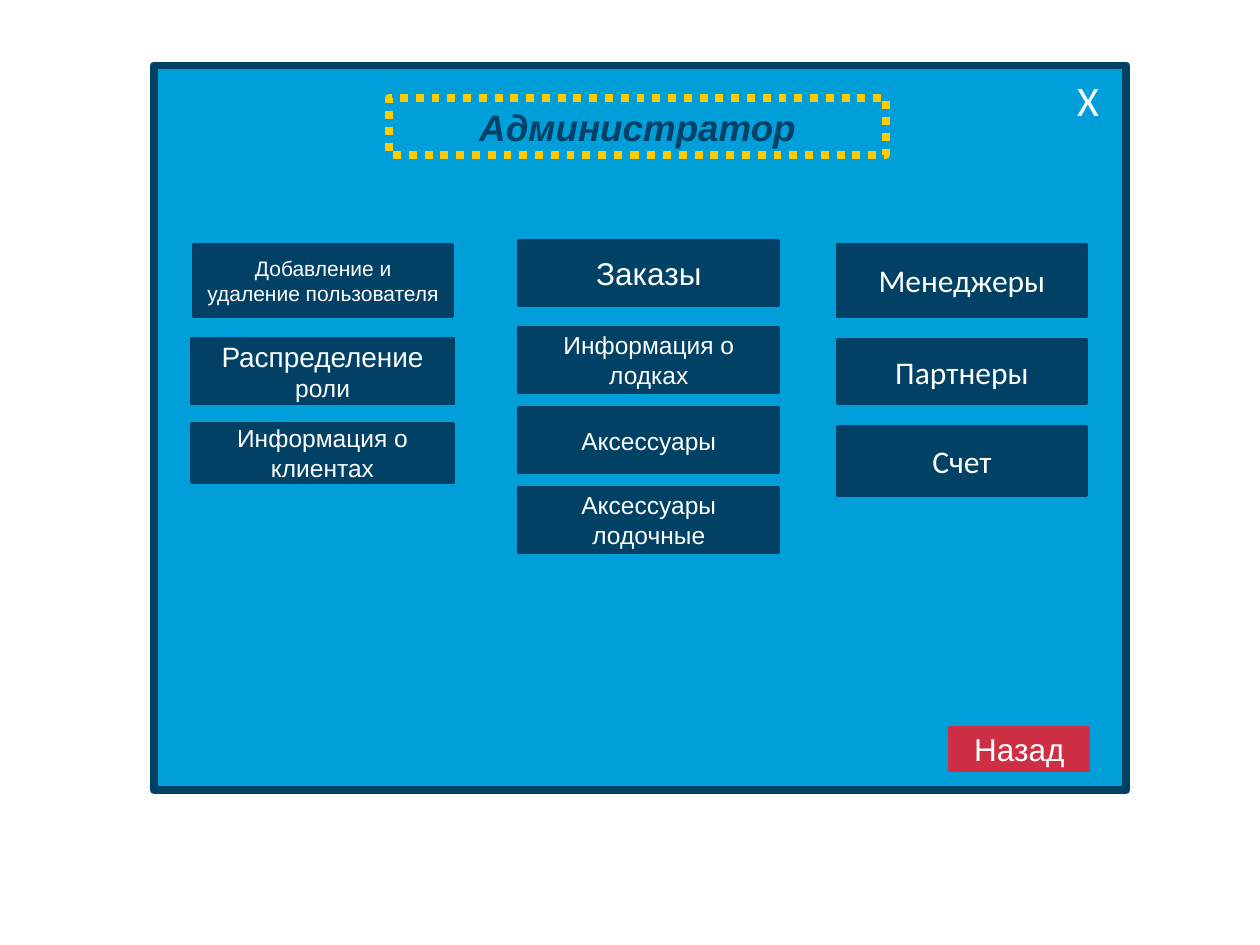
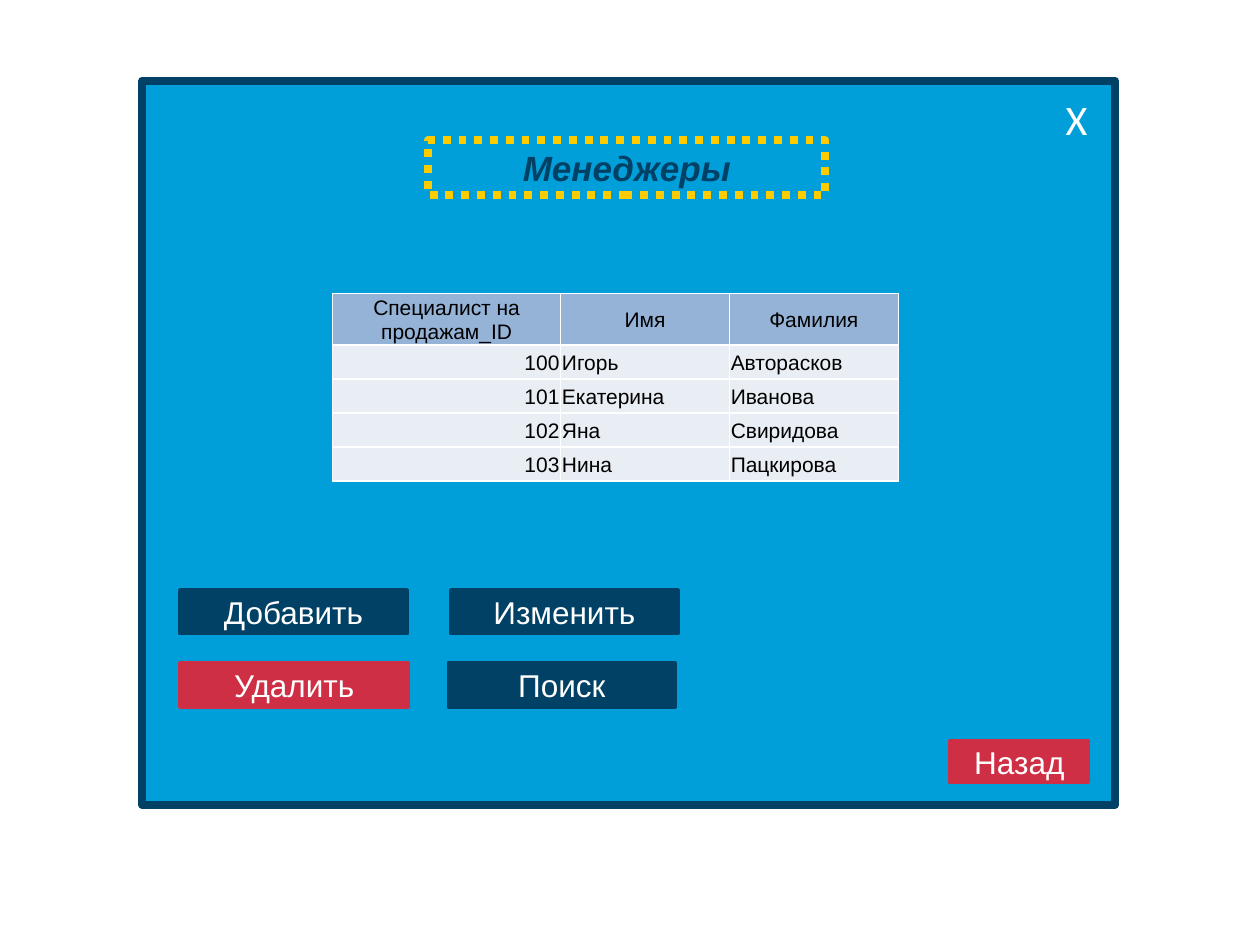
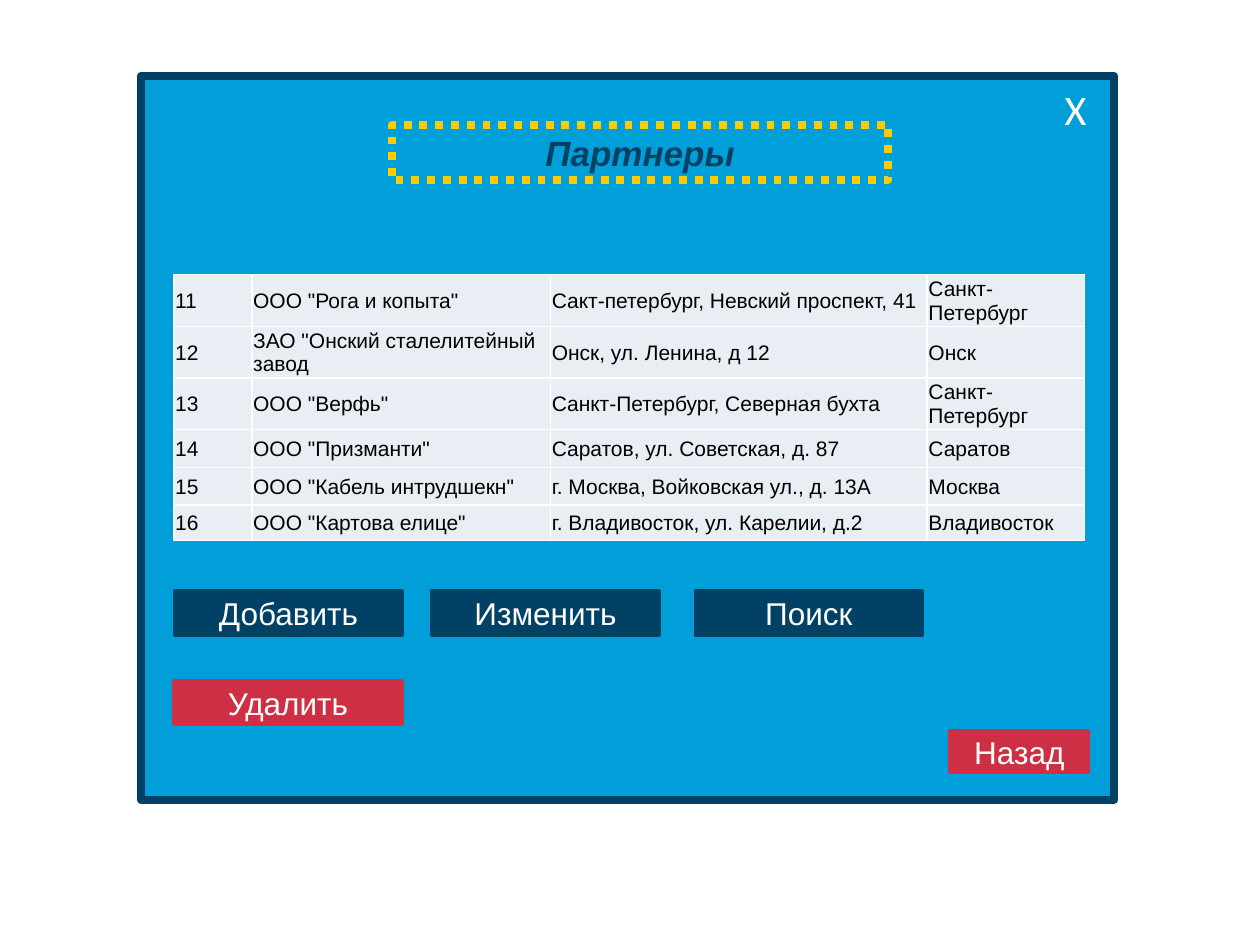
from lxml.etree import SubElement
from pptx import Presentation
from pptx.dml.color import RGBColor
from pptx.enum.dml import MSO_LINE
from pptx.enum.shapes import MSO_SHAPE as Preset
from pptx.enum.text import MSO_ANCHOR as Anchor, MSO_AUTO_SIZE as AutoSize, PP_ALIGN as Align
from pptx.oxml.ns import qn
from pptx.util import Inches, Pt

SKY, NAVY, RED, YELLOW = "009FDA", "004165", "CF2F44", "FECB00"
WHITE, BLACK, HEADER, BODY = "FFFFFF", "000000", "95B3D7", "E9EDF4"
SANS, SCREEN = "Arial", "Calibri"
FRAME_WIDTH, FRAME_HEIGHT = 7.72, 5.75
BUTTON_WIDTH, BUTTON_HEIGHT = 1.8, 0.35

MENU = [
    (1.54, 1.94, 2.05, 0.57, "Добавление и удаление пользователя", 12, SANS),
    (1.52, 3.36, 2.08, 0.47, "Информация о клиентах", 14, SANS),
    (4.12, 1.91, 2.06, 0.51, "Заказы", 18, SANS),
    (4.12, 2.6, 2.06, 0.51, "Информация о лодках", 14, SANS),
    (4.12, 3.24, 2.06, 0.51, "Аксессуары", 14, SANS),
    (4.12, 3.87, 2.06, 0.51, "Аксессуары лодочные", 14, SANS),
    (6.65, 1.94, 1.97, 0.57, "Менеджеры", 18, SCREEN),
    (6.65, 2.7, 1.97, 0.5, "Партнеры", 18, SCREEN),
    (6.65, 3.39, 1.97, 0.54, "Счет", 18, SCREEN),
]
MANAGERS = [
    ("Специалист на продажам_ID", "Имя", "Фамилия"),
    ("100", "Игорь", "Авторасков"),
    ("101", "Екатерина", "Иванова"),
    ("102", "Яна", "Свиридова"),
    ("103", "Нина", "Пацкирова"),
]
PARTNERS = [
    ("11", 'ООО "Рога и копыта"', "Сакт-петербург, Невский проспект, 41", "Санкт-Петербург"),
    ("12", 'ЗАО "Онский сталелитейный завод', "Онск, ул. Ленина, д 12", "Онск"),
    ("13", 'ООО "Верфь"', "Санкт-Петербург, Северная бухта", "Санкт-Петербург"),
    ("14", 'ООО "Призманти"', "Саратов, ул. Советская, д. 87", "Саратов"),
    ("15", 'ООО "Кабель интрудшекн"', "г. Москва, Войковская ул., д. 13А", "Москва"),
    ("16", 'ООО "Картова елице"', "г. Владивосток, ул. Карелии, д.2", "Владивосток"),
]


def color(value):
    """Turn a hex string into a colour."""
    return RGBColor.from_string(value)


def add_run(paragraph, text, size, font=SANS, ink=WHITE):
    """Append a formatted run and return it."""
    run = paragraph.add_run()
    run.text = text
    run.font.size = Pt(size)
    run.font.name = font
    run.font.color.rgb = color(ink)
    return run


def set_line(shape, ink, width):
    """Give a shape a solid outline."""
    shape.line.color.rgb = color(ink)
    shape.line.width = Pt(width)


def add_box(slide, box, fill, line, width=2, preset=Preset.RECTANGLE):
    """Add a filled shape without shadow."""
    shape = slide.shapes.add_shape(preset, *map(Inches, box))
    shape.shadow.inherit = False
    shape.fill.solid()
    shape.fill.fore_color.rgb = color(fill)
    set_line(shape, line, width)
    return shape


def add_button(slide, box, runs, fill=NAVY, preset=Preset.RECTANGLE):
    """Add a button whose label is a list of (text, size, font)."""
    frame = add_box(slide, box, fill, fill, preset=preset).text_frame
    frame.word_wrap = True
    frame.vertical_anchor = Anchor.MIDDLE
    paragraph = frame.paragraphs[0]
    paragraph.alignment = Align.CENTER
    for text, size, font in runs:
        add_run(paragraph, text, size, font)


def add_action(slide, left, top, label, fill=NAVY, width=BUTTON_WIDTH):
    """Add a command button of the standard height."""
    add_button(slide, (left, top, width, BUTTON_HEIGHT), [(label, 18, SANS)], fill)


def format_title(slide, box, text, size):
    """Place the title in front of the window with a dotted outline."""
    title = slide.shapes.title
    title.element.getparent().append(title.element)
    title.left, title.top, title.width, title.height = map(Inches, box)
    set_line(title, YELLOW, 4.5)
    title.line.dash_style = MSO_LINE.ROUND_DOT
    frame = title.text_frame
    frame.word_wrap = True
    frame.auto_size = AutoSize.NONE
    frame.vertical_anchor = Anchor.TOP
    paragraph = frame.paragraphs[0]
    paragraph.alignment = Align.CENTER
    run = add_run(paragraph, text, size, ink=NAVY)
    run.font.bold = run.font.italic = True


def add_window(presentation, origin, title_box, title, size, close_top, back_top):
    """Add a slide with the window, title, close and back buttons."""
    slide = presentation.slides.add_slide(presentation.slide_layouts[5])
    left, top = origin
    add_box(slide, (left, top, FRAME_WIDTH, FRAME_HEIGHT), SKY, NAVY, 4.5)
    format_title(slide, title_box, title, size)
    add_button(slide, (left + 7.18, close_top, 0.47, 0.42), [("Х", 24, SCREEN)],
               SKY, Preset.ACTION_BUTTON_CUSTOM)
    add_button(slide, (7.54, back_top, 1.1, 0.33), [("Назад", 18, SANS)], RED)
    return slide


def set_borders(cell):
    """Draw thin white borders around a cell."""
    properties = cell._tc.get_or_add_tcPr()
    for side in ("lnL", "lnR", "lnT", "lnB"):
        line = SubElement(properties, qn(f"a:{side}"), w=str(Pt(1)))
        fill = SubElement(line, qn("a:solidFill"))
        SubElement(fill, qn("a:srgbClr"), val=WHITE)


def fill_cell(cell, text, fill, alignment):
    """Format a table cell and write its text."""
    set_borders(cell)
    cell.fill.solid()
    cell.fill.fore_color.rgb = color(fill)
    cell.margin_left = cell.margin_right = cell.margin_top = Inches(0.01)
    cell.margin_bottom = 0
    cell.vertical_anchor = Anchor.MIDDLE
    paragraph = cell.text_frame.paragraphs[0]
    paragraph.alignment = alignment
    add_run(paragraph, text, 12, ink=BLACK)


def add_grid(slide, left, top, widths, heights, rows, alignments, has_header=False):
    """Add a table with one alignment per column and an optional header."""
    box = map(Inches, (left, top, sum(widths), sum(heights)))
    table = slide.shapes.add_table(len(rows), len(widths), *box).table
    table.first_row = has_header
    table.horz_banding = False
    for column, width in zip(table.columns, widths):
        column.width = Inches(width)
    for index, (height, texts) in enumerate(zip(heights, rows)):
        table.rows[index].height = Inches(height)
        is_header = has_header and index == 0
        for position, text in enumerate(texts):
            cell = table.cell(index, position)
            alignment = Align.CENTER if is_header else alignments[position]
            fill_cell(cell, text, HEADER if is_header else BODY, alignment)
            if is_header:
                cell.text_frame.paragraphs[0].runs[0].font.bold = False


def build_administrator(presentation):
    """Build the administrator menu."""
    slide = add_window(presentation, (1.22, 0.52), (3.09, 0.78, 3.94, 0.45),
                       "Администратор", 21, 0.58, 5.78)
    for *box, text, size, font in MENU:
        add_button(slide, box, [(text, size, font)])
    add_button(slide, (1.52, 2.69, 2.08, 0.51),
               [("Распределение", 16, SANS), (" ", 14, SCREEN), ("роли", 14, SANS)])


def build_managers(presentation):
    """Build the list of managers."""
    slide = add_window(presentation, (1.13, 0.64), (3.4, 1.11, 3.15, 0.44),
                       "Менеджеры", 20, 0.73, 5.88)
    add_grid(slide, 2.64, 2.33, (1.81, 1.34, 1.34), (0.41,) + (0.27,) * 4, MANAGERS,
             (Align.RIGHT, Align.LEFT, Align.LEFT), has_header=True)
    add_action(slide, 1.43, 4.68, "Добавить")
    add_action(slide, 3.58, 4.68, "Изменить")
    add_action(slide, 1.43, 5.26, "Удалить", RED, 1.81)
    add_action(slide, 3.56, 5.26, "Поиск")


def build_partners(presentation):
    """Build the list of partners."""
    slide = add_window(presentation, (1.12, 0.6), (3.11, 0.99, 3.94, 0.44),
                       "Партнеры", 20, 0.65, 5.8)
    add_grid(slide, 1.38, 2.18, (0.62, 2.37, 2.99, 1.25),
             (0.41,) * 3 + (0.3, 0.3, 0.28), PARTNERS, (Align.LEFT,) * 4)
    for left, label in ((1.39, "Добавить"), (3.43, "Изменить"), (5.52, "Поиск")):
        add_action(slide, left, 4.69, label)
    add_action(slide, 1.38, 5.4, "Удалить", RED, 1.81)


def main():
    """Build and save the presentation."""
    presentation = Presentation()
    presentation.slide_width = Inches(10)
    presentation.slide_height = Inches(7.5)
    build_administrator(presentation)
    build_managers(presentation)
    build_partners(presentation)
    presentation.save("out.pptx")


main()
